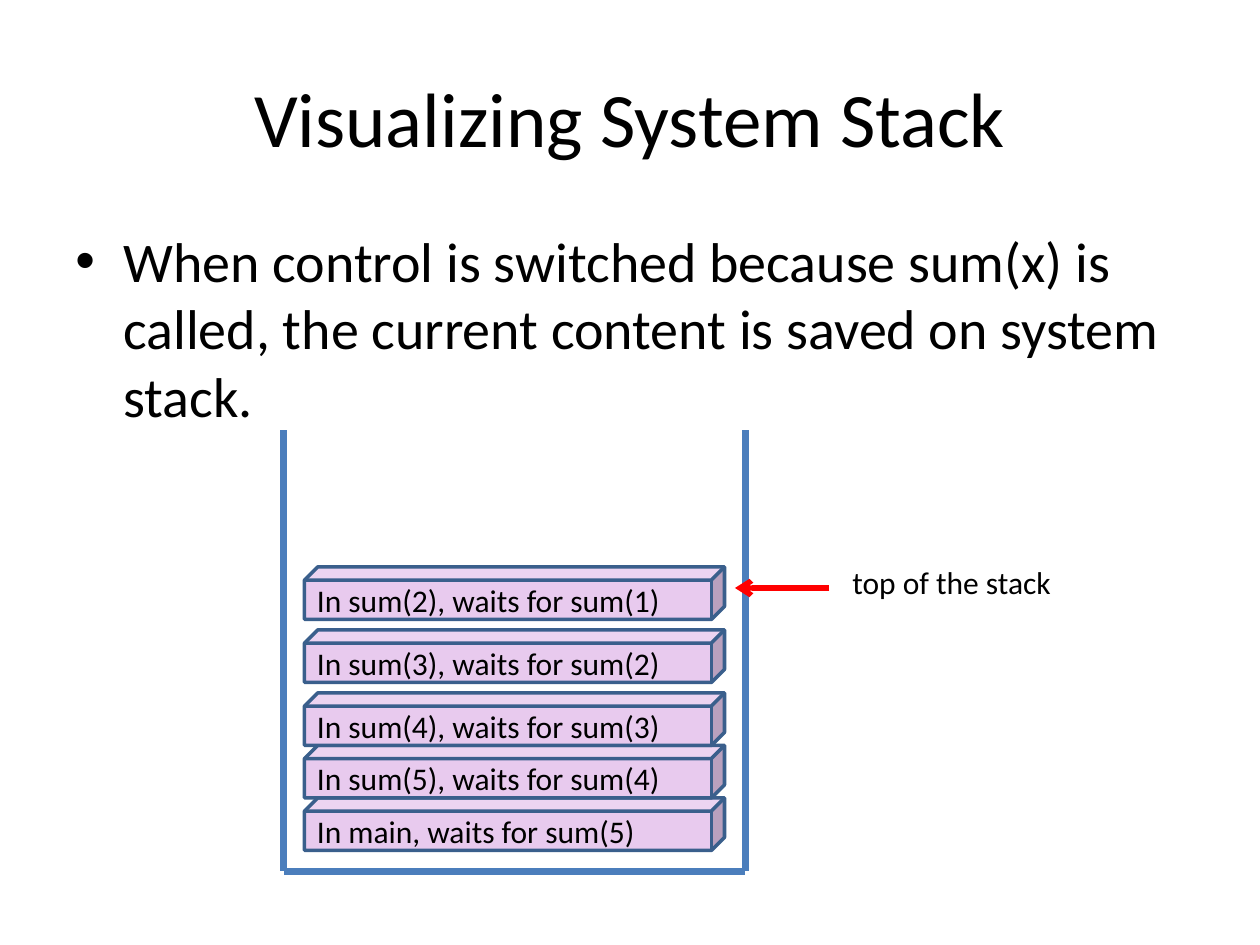
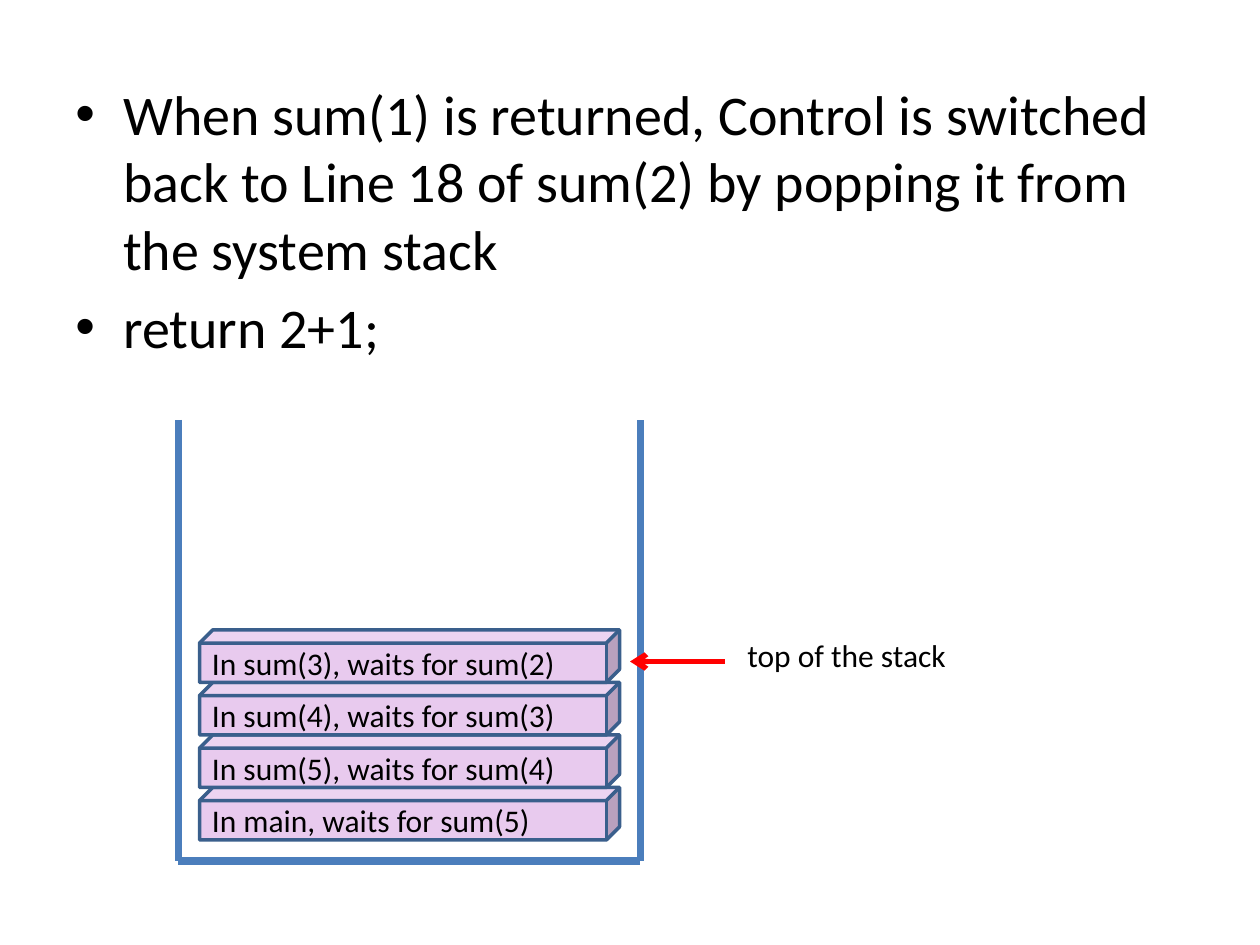
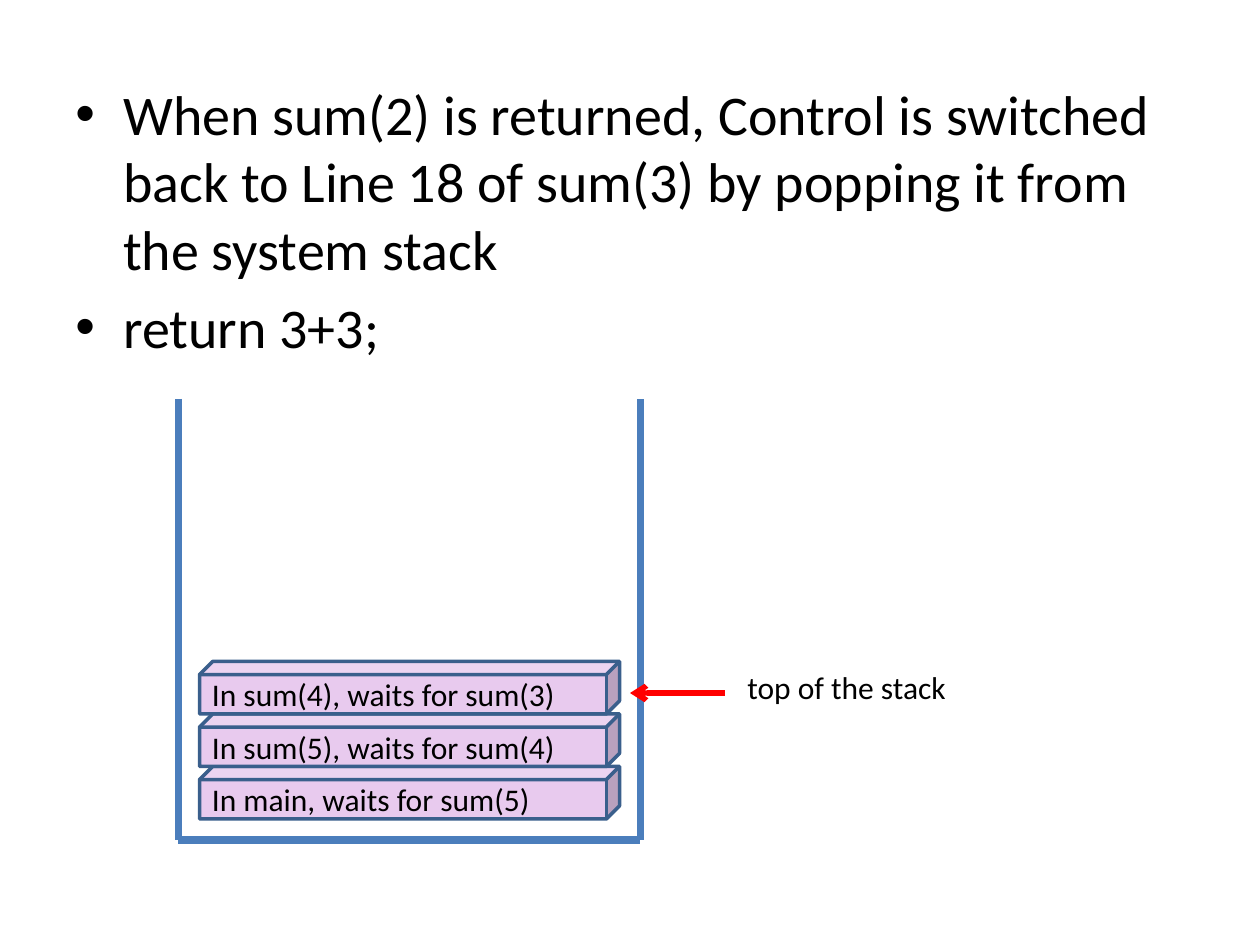
"""Build three slides that show a system stack growing and unwinding."""
from dataclasses import dataclass
from typing import Any

from lxml import etree
from pptx import Presentation
from pptx import util as u
from pptx.dml.color import RGBColor
from pptx.enum import shapes, text
from pptx.oxml import ns


@dataclass(frozen=True)
class Theme:
    font: str = "Calibri"
    ink: str = "000000"
    paper: str = "FFFFFF"
    frame_fill: str = "E8CAEE"
    frame_edge: str = "3A5F8C"
    wall: str = "4B7EBC"
    pointer: str = "FF0000"
    title_size: float = 44
    body_size: float = 32
    label_size: float = 18
    edge_width: float = 2
    wall_width: float = 4.5
    pointer_width: float = 3
    bullet_indent: float = 0.38
    bullet_space: float = 0.2


@dataclass(frozen=True)
class Area:
    column: float
    row: float
    columns: float
    rows: float


@dataclass(frozen=True)
class Stack:
    left: float
    floor: float
    frame_rows: tuple[float, ...]
    pointer_row: float
    label_row: float


@dataclass(frozen=True)
class Lesson:
    bullets: tuple[str, ...]
    stack: Stack
    body_row: float
    title: str = ""


THEME = Theme()
WIDTH, HEIGHT = u.Inches(10), u.Inches(7.5)
COLUMNS, ROWS = 120, 90
BODY_BOTTOM = 80.4
WALL_ROWS, WALL_COLUMNS = 42, 44
FRAME_COLUMNS, FRAME_ROWS = 40, 5
FRAMES = ("In main, waits for sum(5)",) + tuple(
    f"In sum({call}), waits for sum({call - 1})" for call in (5, 4, 3, 2)
)


def across(columns: float) -> int:
    """Turn grid columns into a length."""
    return round(WIDTH * columns / COLUMNS)


def down(rows: float) -> int:
    """Turn grid rows into a length."""
    return round(HEIGHT * rows / ROWS)


def place(area: Area) -> tuple[int, int, int, int]:
    """Return the left, top, width and height of an area."""
    return across(area.column), down(area.row), across(area.columns), down(area.rows)


def apply(target: Any, values: dict[str, Any]) -> None:
    """Set each named attribute on the target."""
    for name, value in values.items():
        setattr(target, name, value)


def write(box: Any, lines: tuple[str, ...], size: float, frame: dict[str, Any],
          paragraph: dict[str, Any]) -> None:
    """Write one styled paragraph for each line into a box."""
    apply(box.text_frame, frame)
    for index, line in enumerate(lines):
        para = box.text_frame.add_paragraph() if index else box.text_frame.paragraphs[0]
        apply(para, paragraph)
        span = para.add_run()
        span.text = line
        apply(span.font, {"name": THEME.font, "size": u.Pt(size)})
        span.font.color.rgb = RGBColor.from_string(THEME.ink)


def add_title(page: Any, title: str) -> None:
    """Add the centred slide title."""
    box = page.shapes.add_textbox(*place(Area(6, 3.6, 108, 15)))
    write(box, (title,), THEME.title_size,
          {"word_wrap": True, "vertical_anchor": text.MSO_ANCHOR.MIDDLE},
          {"alignment": text.PP_ALIGN.CENTER})


def add_bullets(page: Any, bullets: tuple[str, ...], row: float) -> None:
    """Add the bulleted body text."""
    box = page.shapes.add_textbox(*place(Area(6, row, 108, BODY_BOTTOM - row)))
    write(box, bullets, THEME.body_size, {"word_wrap": True},
          {"space_before": u.Pt(THEME.body_size * THEME.bullet_space)})
    indent = u.Inches(THEME.bullet_indent)
    for para in box.text_frame.paragraphs:
        properties = para._p.get_or_add_pPr()
        properties.set("marL", str(indent))
        properties.set("indent", str(-indent))
        etree.SubElement(properties, ns.qn("a:buFont"), typeface="Arial")
        etree.SubElement(properties, ns.qn("a:buChar"), char="\u2022")


def add_frame(group: Any, caption: str, area: Area) -> None:
    """Add one call frame as a cube."""
    cube = group.shapes.add_shape(shapes.MSO_SHAPE.CUBE, *place(area))
    cube.shadow.inherit = False
    cube.fill.solid()
    cube.fill.fore_color.rgb = RGBColor.from_string(THEME.frame_fill)
    cube.line.color.rgb = RGBColor.from_string(THEME.frame_edge)
    cube.line.width = u.Pt(THEME.edge_width)
    write(cube, (caption,), THEME.label_size,
          {"word_wrap": True, "vertical_anchor": text.MSO_ANCHOR.MIDDLE},
          {"alignment": text.PP_ALIGN.LEFT})


def add_line(group: Any, start: tuple[float, float], end: tuple[float, float],
             color: str, width: float, arrow: bool = False) -> None:
    """Add a straight line between two grid points."""
    line = group.shapes.add_connector(
        shapes.MSO_CONNECTOR.STRAIGHT,
        across(start[0]), down(start[1]), across(end[0]), down(end[1]))
    line.line.color.rgb = RGBColor.from_string(color)
    line.line.width = u.Pt(width)
    if arrow:
        etree.SubElement(line.line._get_or_add_ln(), ns.qn("a:tailEnd"), type="arrow")
    etree.SubElement(line._element.spPr, ns.qn("a:effectLst"))


def add_stack(page: Any, stack: Stack) -> None:
    """Add the call frames, their container and the top pointer."""
    group = page.shapes.add_group_shape()
    for caption, row in zip(FRAMES, stack.frame_rows):
        add_frame(group, caption, Area(stack.left + 2, row, FRAME_COLUMNS, FRAME_ROWS))
    right, top = stack.left + WALL_COLUMNS, stack.floor - WALL_ROWS
    corners = ((stack.left, top), (stack.left, stack.floor),
               (right, stack.floor), (right, top))
    for start, end in zip(corners, corners[1:]):
        add_line(group, start, end, THEME.wall, THEME.wall_width)
    add_line(group, (right + 8, stack.pointer_row), (right - 1, stack.pointer_row),
             THEME.pointer, THEME.pointer_width, arrow=True)
    label = group.shapes.add_textbox(*place(Area(right + 9, stack.label_row, 21.6, 4.8)))
    write(label, ("top of the stack",), THEME.label_size,
          {"word_wrap": False, "auto_size": text.MSO_AUTO_SIZE.SHAPE_TO_FIT_TEXT}, {})


def returned(call: int, total: str, stack: Stack) -> Lesson:
    """Describe the slide on which one call returns to its caller."""
    return Lesson(
        (f"When sum({call}) is returned, Control is switched back to Line 18 of "
         f"sum({call + 1}) by popping it from the system stack", f"return {total};"),
        stack, body_row=7)


LESSONS = (
    Lesson(
        ("When control is switched because sum(x) is called, the current content "
         "is saved on system stack.",),
        Stack(27, 83, (76, 71, 66, 60, 54), pointer_row=56, label_row=53),
        body_row=21, title="Visualizing System Stack"),
    returned(1, "2+1", Stack(17, 82, (75, 70, 65, 60), pointer_row=63, label_row=60)),
    returned(2, "3+3", Stack(17, 80, (73, 68, 63), pointer_row=66, label_row=63)),
)


def build() -> None:
    """Build the deck and save it."""
    deck = Presentation()
    apply(deck, {"slide_width": WIDTH, "slide_height": HEIGHT})
    for lesson in LESSONS:
        page = deck.slides.add_slide(deck.slide_layouts[6])
        page.background.fill.solid()
        page.background.fill.fore_color.rgb = RGBColor.from_string(THEME.paper)
        if lesson.title:
            add_title(page, lesson.title)
        add_bullets(page, lesson.bullets, lesson.body_row)
        add_stack(page, lesson.stack)
    deck.save("out.pptx")


build()
